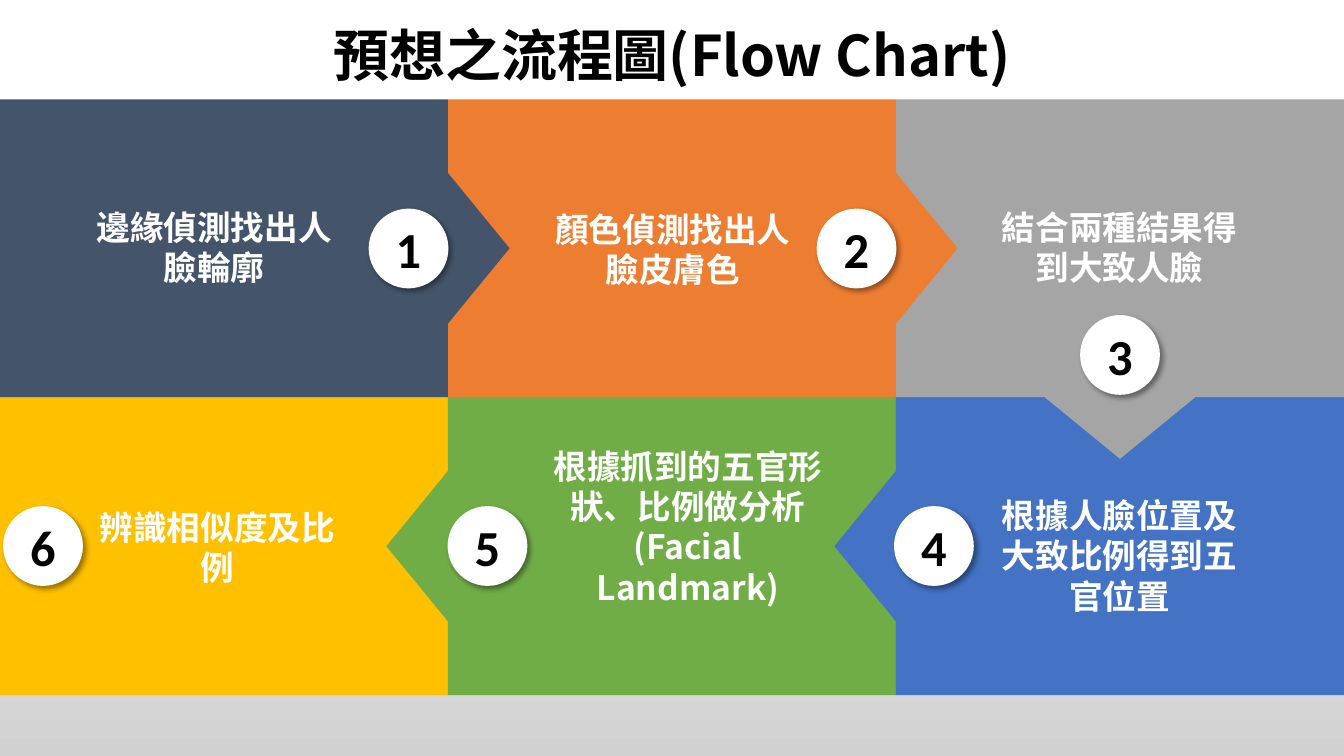
import copy

import pptx
import pptx.dml.color
import pptx.enum.shapes
import pptx.enum.text
import pptx.oxml
import pptx.util

Pt = pptx.util.Pt
SHAPES = pptx.enum.shapes.MSO_SHAPE
ANCHOR = pptx.enum.text.MSO_ANCHOR
A_NS = 'xmlns:a="http://schemas.openxmlformats.org/drawingml/2006/main"'


def color(hex_code):
    return pptx.dml.color.RGBColor.from_string(hex_code)


def write(shape, text, size, font, hex_code, anchor):
    """Put one bold centred run into the shape and return its paragraph."""
    frame = shape.text_frame
    frame.word_wrap = True
    frame.vertical_anchor = anchor
    paragraph = frame.paragraphs[0]
    paragraph.alignment = pptx.enum.text.PP_ALIGN.CENTER
    run = paragraph.add_run()
    run.text = text
    run.font.size = Pt(size)
    run.font.bold = True
    run.font.color.rgb = color(hex_code)
    run.font.name = font
    run.font._element.append(
        pptx.oxml.parse_xml(f'<a:ea {A_NS} typeface="{font}"/>'))
    return paragraph


presentation = pptx.Presentation()
presentation.slide_width = Pt(960)
presentation.slide_height = Pt(540)
slide = presentation.slides.add_slide(presentation.slide_layouts[6])

# Background gradient, white at the top to grey at the bottom
background = slide.background.fill
background.gradient()
background.gradient_angle = 270
stop_list = background._fill._gradFill.gsLst
stop_list.insert(1, copy.deepcopy(stop_list[0]))
for stop, (position, shade) in zip(
        background.gradient_stops,
        [(0, "FFFFFF"), (0.5, "FBFBFB"), (1, "D1D1D1")]):
    stop.position = position
    stop.color.rgb = color(shade)

TILE_W, TILE_H, GRID_TOP = 320, 212.75, 71
ARROW_W, ARROW_H = 107.5, 44
BADGE = 57

# column, row, fill, arrow rotation, badge (left, top),
# caption box (left, top, width, height), caption
steps = [
    (0, 0, "44546A", 90, (263.3, 149),
     (58.3, 143.3, 189.4, 65.5), "邊緣偵測找出人臉輪廓"),
    (1, 0, "ED7D31", 90, (583.3, 149),
     (386, 144.7, 189.4, 65.5), "顏色偵測找出人臉皮膚色"),
    (2, 0, "A5A5A5", 180, (771.5, 225),
     (705, 143.3, 189.4, 65.5), "結合兩種結果得到大致人臉"),
    (2, 1, "4472C4", 270, (638.6, 361.5),
     (705, 349.2, 189.4, 94.3), "根據人臉位置及大致比例得到五官位置"),
    (1, 1, "70AD47", 270, (319.7, 361.5),
     (386.6, 342.7, 209.5, 94.3), "根據抓到的五官形狀、比例做分析(Facial Landmark)"),
    (0, 1, "FFC000", None, (2.2, 361.5),
     (60.5, 357.8, 189.4, 65.5), "辨識相似度及比例"),
]
# Direction in which each arrow leaves its tile
directions = {90: (1, 0), 180: (0, 1), 270: (-1, 0)}

# Tiles run from last to first so that each arrow lies over the next tile
for column, row, fill, rotation, *_ in reversed(steps):
    left, top = column * TILE_W, GRID_TOP + row * TILE_H
    parts = [slide.shapes.add_shape(
        SHAPES.RECTANGLE, Pt(left), Pt(top), Pt(TILE_W), Pt(TILE_H))]
    if rotation:
        dx, dy = directions[rotation]
        center_x = left + TILE_W / 2 + dx * (TILE_W + ARROW_H) / 2
        center_y = top + TILE_H / 2 + dy * (TILE_H + ARROW_H) / 2
        arrow = slide.shapes.add_shape(
            SHAPES.ISOSCELES_TRIANGLE,
            Pt(center_x - ARROW_W / 2), Pt(center_y - ARROW_H / 2),
            Pt(ARROW_W), Pt(ARROW_H))
        arrow.rotation = rotation
        parts.append(arrow)
    for part in parts:
        part.shadow.inherit = False
        part.fill.solid()
        part.fill.fore_color.rgb = color(fill)
        part.line.fill.background()

for number, (*_, (left, top), _, _) in enumerate(steps, start=1):
    badge = slide.shapes.add_shape(
        SHAPES.OVAL, Pt(left), Pt(top), Pt(BADGE), Pt(BADGE))
    badge.fill.solid()
    badge.fill.fore_color.rgb = color("FFFFFF")
    badge.line.fill.background()
    badge._element.spPr.append(pptx.oxml.parse_xml(
        f'<a:effectLst {A_NS}><a:outerShdw blurRad="{Pt(4)}" dist="{Pt(3)}" '
        'dir="2700000" algn="tl" rotWithShape="0"><a:srgbClr val="000000">'
        '<a:alpha val="40000"/></a:srgbClr></a:outerShdw></a:effectLst>'))
    write(badge, str(number), 36, "Calibri", "000000", ANCHOR.MIDDLE)

for *_, box, text in steps:
    caption = slide.shapes.add_textbox(*map(Pt, box))
    caption.text_frame.margin_left = caption.text_frame.margin_right = 0
    caption.text_frame.auto_size = pptx.enum.text.MSO_AUTO_SIZE.SHAPE_TO_FIT_TEXT
    write(caption, text, 24, "Noto Sans CJK SC", "FFFFFF", ANCHOR.BOTTOM)

title = slide.shapes.add_textbox(Pt(66), Pt(13), Pt(828), Pt(58))
heading = write(title, "預想之流程圖(Flow Chart)", 40, "Noto Sans CJK TC",
                "000000", ANCHOR.MIDDLE)
heading.line_spacing = 0.9

presentation.save("out.pptx")
